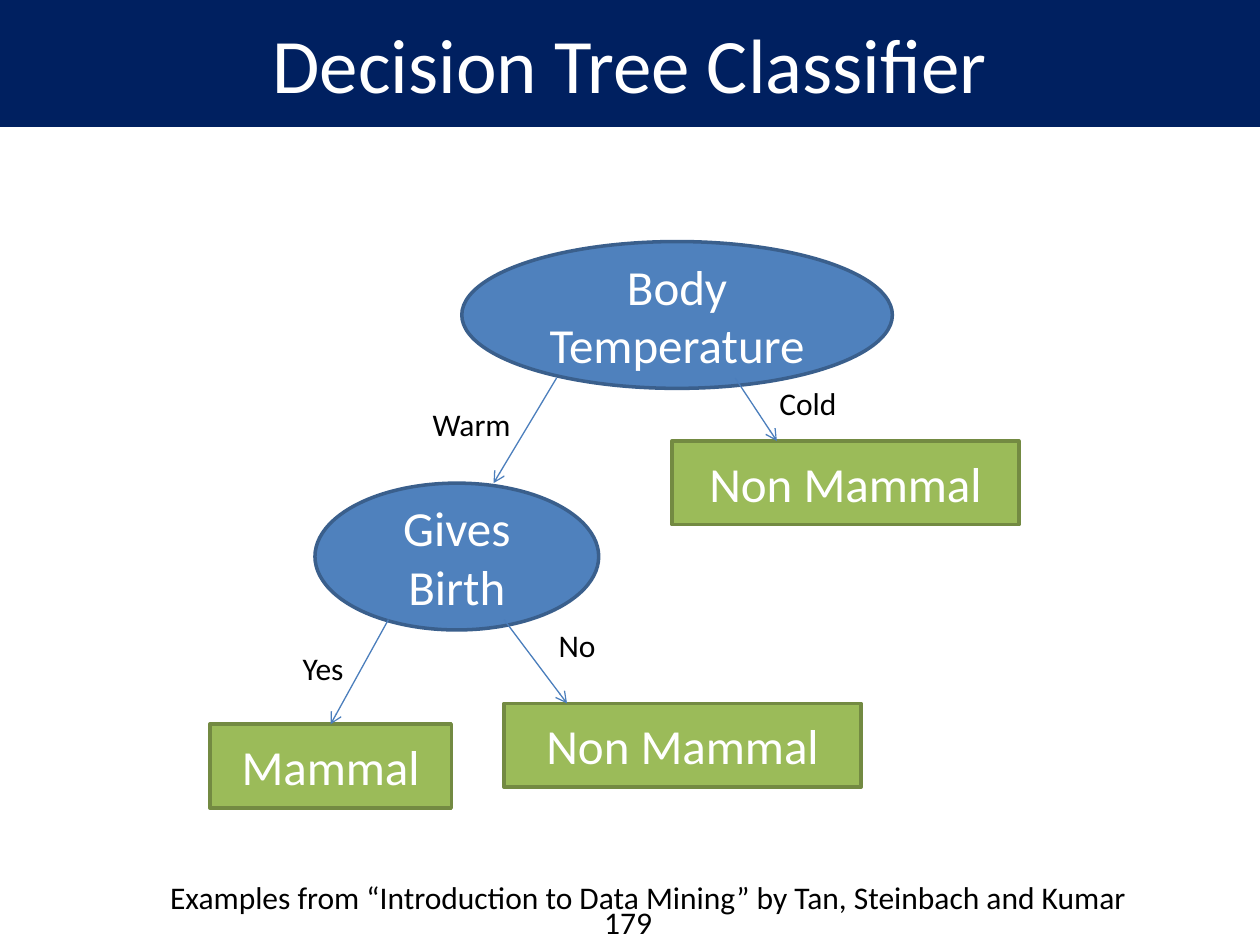
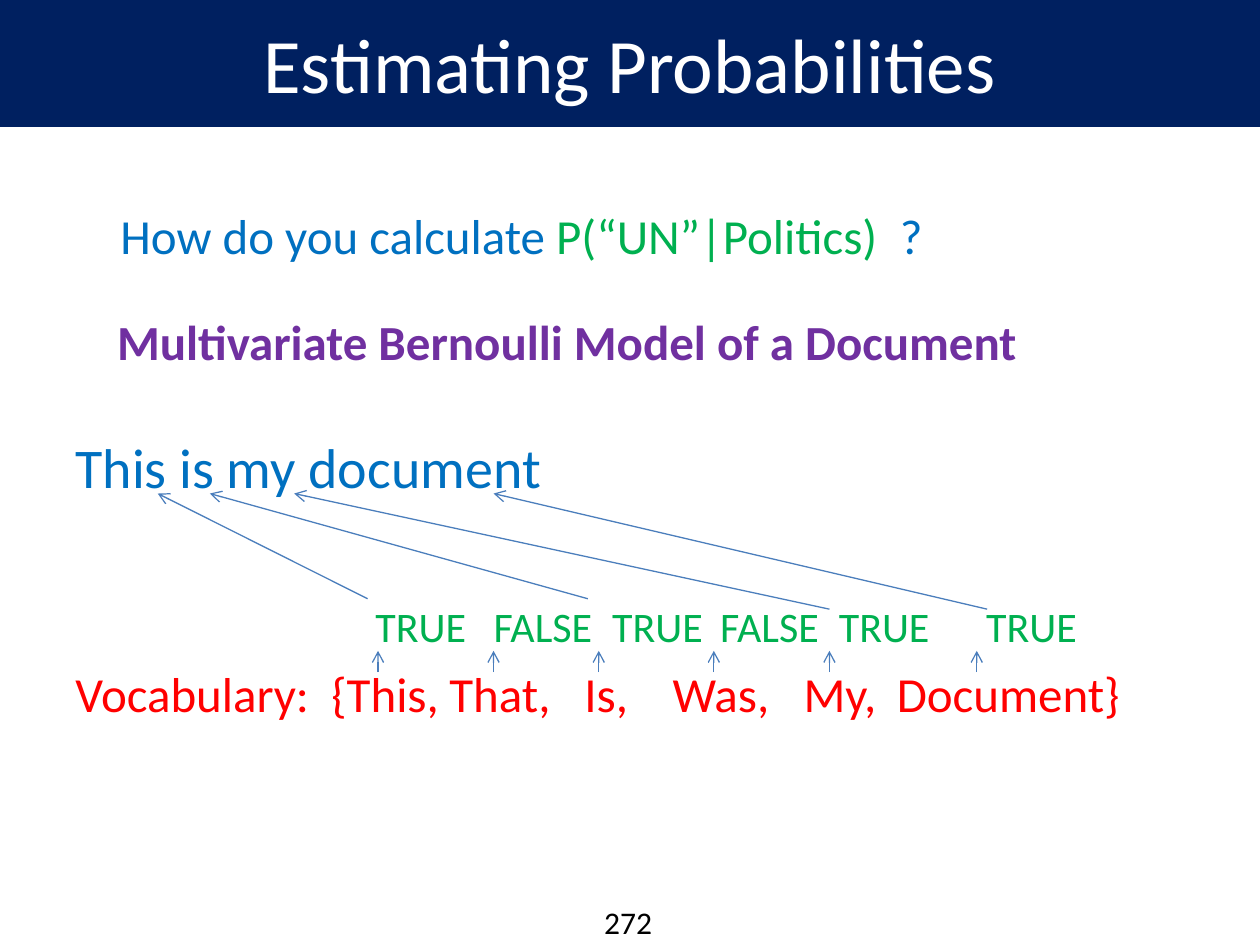
from lxml.etree import SubElement
from pptx import Presentation
from pptx.dml.color import RGBColor
from pptx.enum.shapes import MSO_CONNECTOR, MSO_SHAPE
from pptx.enum.text import MSO_ANCHOR, PP_ALIGN
from pptx.oxml.ns import qn
from pptx.util import Cm, Pt

# Colours and font
NAVY = RGBColor(0x00, 0x20, 0x60)
BLUE = RGBColor(0x4F, 0x81, 0xBD)
EDGE = RGBColor(0x3A, 0x5F, 0x8C)
LEAF = RGBColor(0x9B, 0xBB, 0x59)
MOSS = RGBColor(0x73, 0x8A, 0x42)
ARROW = RGBColor(0x4B, 0x7E, 0xBC)
SKY = RGBColor(0x00, 0x70, 0xC0)
GREEN = RGBColor(0x00, 0xB0, 0x50)
RED = RGBColor(0xFF, 0x00, 0x00)
PURPLE = RGBColor(0x70, 0x30, 0xA0)
BLACK = RGBColor(0x00, 0x00, 0x00)
WHITE = RGBColor(0xFF, 0xFF, 0xFF)
FONT = "Calibri"

# Tree slide, in cm: tests and leaves by (text, left, top, width)
TESTS = [("Body Temperature", 9.31, 4.87, 8.68),
         ("Gives Birth", 6.35, 9.74, 5.72)]
LEAVES = [("Non Mammal", 13.55, 8.89, 6.99),
          ("Non Mammal", 10.16, 14.18, 7.2),
          ("Mammal", 4.23, 14.6, 4.87)]
BRANCHES = [((11.22, 7.62), (9.95, 9.74)),
            ((14.82, 7.62), (15.66, 8.89)),
            ((10.16, 12.49), (11.43, 14.18))]
TO_MAMMAL = ((7.83, 12.49), (6.56, 14.6))
LABELS = [("Warm", 8.47, 8.05, 2.4), ("Cold", 15.46, 7.62, 2),
          ("No", 11.01, 12.49, 1.6), ("Yes", 5.85, 12.95, 1.7),
          ("Examples from “Introduction to Data Mining” by Tan, "
           "Steinbach and Kumar", 3.18, 17.57, 20.6)]

# Probability slide: question parts, and rows of (words, tab stops, size, colour, gap)
QUESTION = [("How do you calculate ", SKY), ("P(“UN”|Politics)", GREEN), ("\t?", SKY)]
MARK = 15.71
ROWS = [
    (["This is my document"], [], 32, SKY, 0),
    (["", "TRUE", "FALSE", "TRUE", "FALSE", "TRUE", "TRUE"],
     [6.05, 8.43, 10.82, 13, 15.39, 18.36], 24, GREEN, 58),
    (["Vocabulary:", "{This,", "That,", "Is,", "Was,", "My,", "Document}"],
     [5.16, 7.54, 10.26, 12.04, 14.68, 16.56], 28, RED, 7),
]
FOUND = [((7.41, 12.07), 3.18), ((11.85, 12.07), 4.23),
         ((16.72, 12.28), 5.93), ((19.9, 12.28), 9.95)]
WORD_Y = 9.95
VOCAB_X = [7.62, 9.95, 12.07, 14.39, 16.72, 19.69]
VOCAB_Y = (13.55, 13.12)


def style(para, size, color, bold=False):
    for run in para.runs:
        font = run.font
        font.name, font.size, font.bold = FONT, Pt(size), bold
        font.color.rgb = color


def set_tabs(para, stops):
    if stops:
        tabs = SubElement(para._p.get_or_add_pPr(), qn("a:tabLst"))
        for stop in stops:
            SubElement(tabs, qn("a:tab"), pos=str(Cm(stop)), algn="l")


def add_text(slide, left, top, width, height=1.02):
    box = slide.shapes.add_textbox(Cm(left), Cm(top), Cm(width), Cm(height))
    box.text_frame.word_wrap = True
    return box.text_frame


def add_label(slide, text, left, top, width, size=18, color=BLACK, bold=False):
    frame = add_text(slide, left, top, width)
    frame.text = text
    style(frame.paragraphs[0], size, color, bold)


def add_node(slide, kind, text, left, top, width, height, fill, edge,
             size=28, weight=2):
    node = slide.shapes.add_shape(kind, Cm(left), Cm(top), Cm(width), Cm(height))
    node.shadow.inherit = False
    node.fill.solid()
    node.fill.fore_color.rgb = fill
    node.line.color.rgb = edge
    node.line.width = Pt(weight)
    frame = node.text_frame
    frame.text = text
    frame.word_wrap = True
    frame.vertical_anchor = MSO_ANCHOR.MIDDLE
    para = frame.paragraphs[0]
    para.alignment = PP_ALIGN.CENTER
    style(para, size, WHITE)
    return node


def add_arrow(slide, start, end):
    line = slide.shapes.add_connector(
        MSO_CONNECTOR.STRAIGHT, *(Cm(n) for n in start + end))
    line.line.color.rgb = ARROW
    line.line.width = Pt(0.75)
    SubElement(line.line._get_or_add_ln(), qn("a:tailEnd"), type="arrow")
    SubElement(line._element.spPr, qn("a:effectLst"))
    return line


def add_page(deck, title, number):
    slide = deck.slides.add_slide(deck.slide_layouts[6])
    add_label(slide, number, 11.93, 18.08, 2)
    add_node(slide, MSO_SHAPE.RECTANGLE, title, 0, 0, 25.4, 2.54,
             NAVY, NAVY, 44, 0.75)
    return slide


def build_tree(deck):
    slide = add_page(deck, "Decision Tree Classifier", "179")
    for text, left, top, width in TESTS:
        add_node(slide, MSO_SHAPE.OVAL, text, left, top, width, 2.96, BLUE, EDGE)
    leaves = [add_node(slide, MSO_SHAPE.RECTANGLE, text, left, top, width, 1.69,
                       LEAF, MOSS) for text, left, top, width in LEAVES]
    for start, end in BRANCHES:
        add_arrow(slide, start, end)
    add_arrow(slide, *TO_MAMMAL).end_connect(leaves[-1], 0)
    for label in LABELS:
        add_label(slide, *label)


def build_model(deck):
    slide = add_page(deck, "Estimating Probabilities", "272")

    # Document, truth values and vocabulary
    frame = add_text(slide, 1.27, 8.59, 22.4, 7.7)
    for i, (words, stops, size, color, gap) in enumerate(ROWS):
        para = frame.add_paragraph() if i else frame.paragraphs[0]
        para.text = "\t".join(words)
        set_tabs(para, stops)
        if gap:
            para.space_before = Pt(gap)
        style(para, size, color)

    # Question and model name
    para = add_text(slide, 2.18, 4.01, 22.66, 1.45).paragraphs[0]
    set_tabs(para, [MARK])
    for text, color in QUESTION:
        run = para.add_run()
        run.text = text
        run.font.name, run.font.size = FONT, Pt(28)
        run.font.color.rgb = color
    add_label(slide, "Multivariate Bernoulli Model of a Document",
              2.11, 6.15, 19.5, 28, PURPLE, True)

    # Arrows to the document words and from the vocabulary
    for start, x in FOUND:
        add_arrow(slide, start, (x, WORD_Y))
    low, high = VOCAB_Y
    for x in VOCAB_X:
        add_arrow(slide, (x, low), (x, high))


def main():
    deck = Presentation()
    deck.slide_width, deck.slide_height = Cm(25.4), Cm(19.05)
    build_tree(deck)
    build_model(deck)
    deck.save("out.pptx")


if __name__ == "__main__":
    main()
